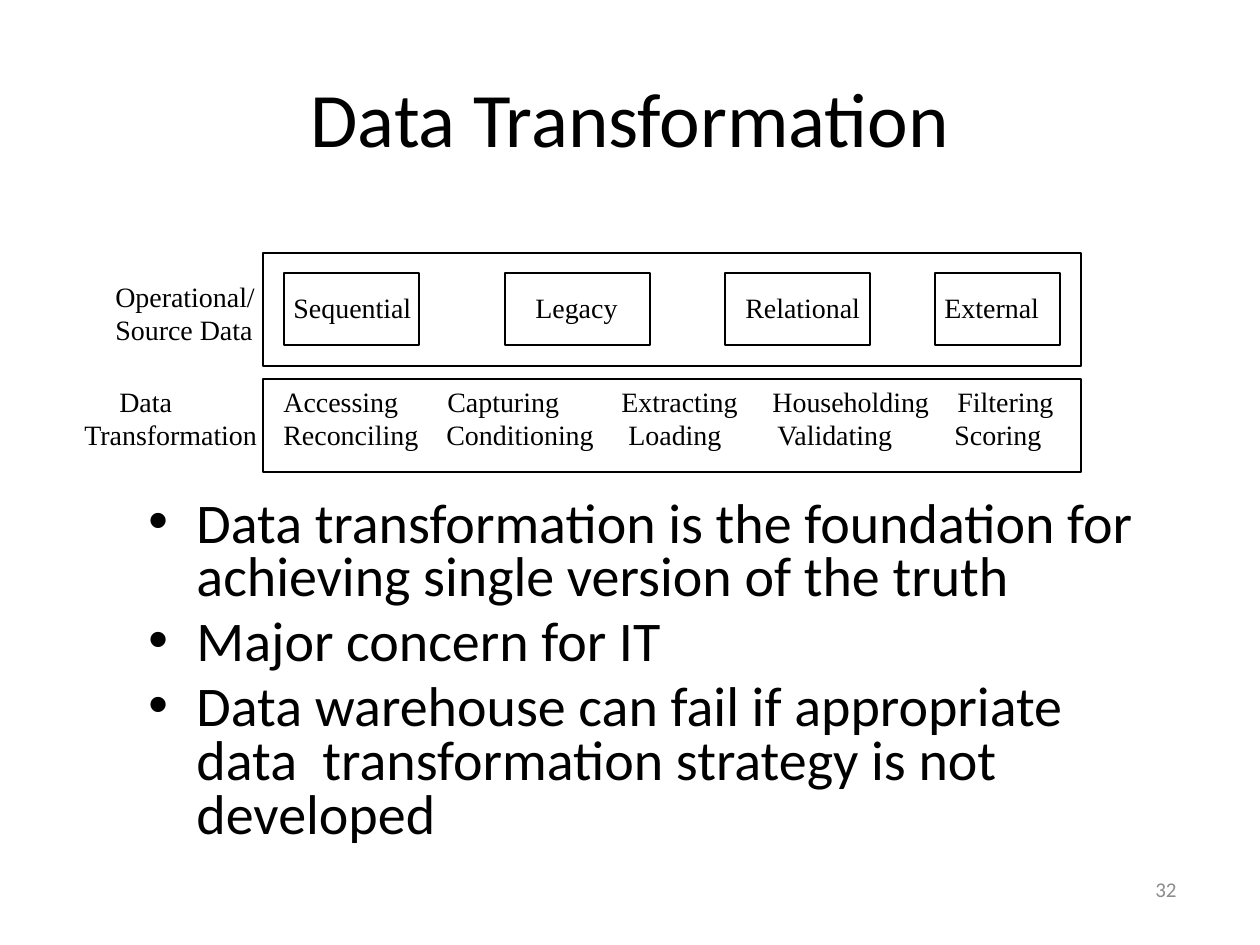
from lxml import etree
from pptx import Presentation
from pptx.dml.color import RGBColor
from pptx.enum.shapes import MSO_SHAPE
from pptx.enum.text import MSO_ANCHOR, PP_ALIGN
from pptx.oxml.ns import qn
from pptx.util import Emu, Pt

RECTANGLE = MSO_SHAPE.RECTANGLE
TOP, MIDDLE = MSO_ANCHOR.TOP, MSO_ANCHOR.MIDDLE
LEFT, CENTER, RIGHT = PP_ALIGN.LEFT, PP_ALIGN.CENTER, PP_ALIGN.RIGHT
SANS, SERIF = "Calibri", "Times New Roman"
BLACK, WHITE, GRAY = "000000", "FFFFFF", "8C8C8C"

SOURCE_TOP, SOURCE_HEIGHT, SOURCE_LABEL_TOP = 273, 72, 284
SOURCES = [
    ("Sequential", 284, 135, 281, 144),
    ("Legacy", 505, 145, 523, 107),
    ("Relational", 725, 145, 733, 140),
    ("External", 935, 125, 932, 120),
]
OPERATIONS = [
    ("Accessing\tCapturing\tExtracting\tHouseholding\tFiltering", (164, 338, 489, 674)),
    ("Reconciling\tConditioning\tLoading\tValidating\tScoring", (163, 345, 494, 671)),
]
POINTS = [
    "Data transformation is the foundation for achieving single version of the truth",
    "Major concern for IT",
    "Data warehouse can fail if appropriate data  transformation strategy is not developed",
]


def px(value):
    """Turn pixels at 126 to the inch into EMU."""
    return Emu(round(value * 914400 / 126))


def color(value):
    """Turn a hex string into a colour."""
    return RGBColor.from_string(value)


def add_text(page, place, lines, size, font=SANS, ink=BLACK, align=LEFT, anchor=TOP, wrap=True):
    """Add a text box with one paragraph a line and return its paragraphs."""
    box = page.shapes.add_textbox(*map(px, place))
    frame = box.text_frame
    frame.word_wrap = wrap
    frame.vertical_anchor = anchor
    frame.text = "\n".join(lines)
    for para in frame.paragraphs:
        para.alignment = align
        for span in para.runs:
            span.font.size = Pt(size)
            span.font.name = font
            span.font.color.rgb = color(ink)
    return frame.paragraphs


def add_label(page, place, *lines):
    """Add an unwrapped diagram label."""
    return add_text(page, place, lines, 16, SERIF, wrap=False)


def add_frame(page, place, fill=WHITE):
    """Add a black outlined rectangle, unfilled when fill is None."""
    shape = page.shapes.add_shape(RECTANGLE, *map(px, place))
    shape.shadow.inherit = False
    shape.line.color.rgb = color(BLACK)
    shape.line.width = Pt(1)
    if fill:
        shape.fill.solid()
        shape.fill.fore_color.rgb = color(fill)
    else:
        shape.fill.background()


def set_indent(para, margin, first=0):
    """Set the left margin and first line indent of a paragraph."""
    properties = para._p.get_or_add_pPr()
    properties.set("marL", str(px(margin)))
    properties.set("indent", str(px(first)))
    return properties


def set_tabs(para, stops):
    """Give a paragraph left tab stops."""
    tabs = etree.SubElement(para._p.get_or_add_pPr(), qn("a:tabLst"))
    for stop in stops:
        etree.SubElement(tabs, qn("a:tab"), pos=str(px(stop)), algn="l")


def add_bullets(page, place, lines):
    """Add the bulleted list with tight lines."""
    for index, para in enumerate(add_text(page, place, lines, 32)):
        properties = set_indent(para, 48, -48)
        etree.SubElement(properties, qn("a:buFont"), typeface="Arial")
        etree.SubElement(properties, qn("a:buChar"), char="•")
        para.line_spacing = 0.8
        if index:
            para.space_before = Pt(6.4)


def add_diagram(page):
    """Add the source data and transformation rows."""
    for name, left, width, label_left, label_width in SOURCES:
        add_frame(page, (left, SOURCE_TOP, width, SOURCE_HEIGHT))
        add_label(page, (label_left, SOURCE_LABEL_TOP, label_width, 46), name)
    add_frame(page, (263, 379, 818, 93))
    add_frame(page, (263, 253, 818, 113), fill=None)
    add_label(page, (103, 273, 165, 80), "Operational/", "Source Data")
    heading = add_label(page, (72, 378, 200, 80), "Data", "Transformation")
    set_indent(heading[0], 35)
    rows = add_text(page, (271, 378, 799, 80), [line for line, _ in OPERATIONS], 16, SERIF)
    for para, (_, stops) in zip(rows, OPERATIONS):
        set_tabs(para, stops)


def main():
    """Build and save the slide."""
    deck = Presentation()
    deck.slide_width, deck.slide_height = px(1260), px(945)
    page = deck.slides.add_slide(deck.slide_layouts[6])
    add_text(page, (927, 858, 262, 63), ["32"], 12, ink=GRAY, align=RIGHT, anchor=MIDDLE)
    add_text(page, (63, 38, 1134, 157), ["Data Transformation"], 44, align=CENTER, anchor=MIDDLE)
    add_bullets(page, (136, 494, 1050, 378), POINTS)
    add_diagram(page)
    deck.save("out.pptx")


if __name__ == "__main__":
    main()
